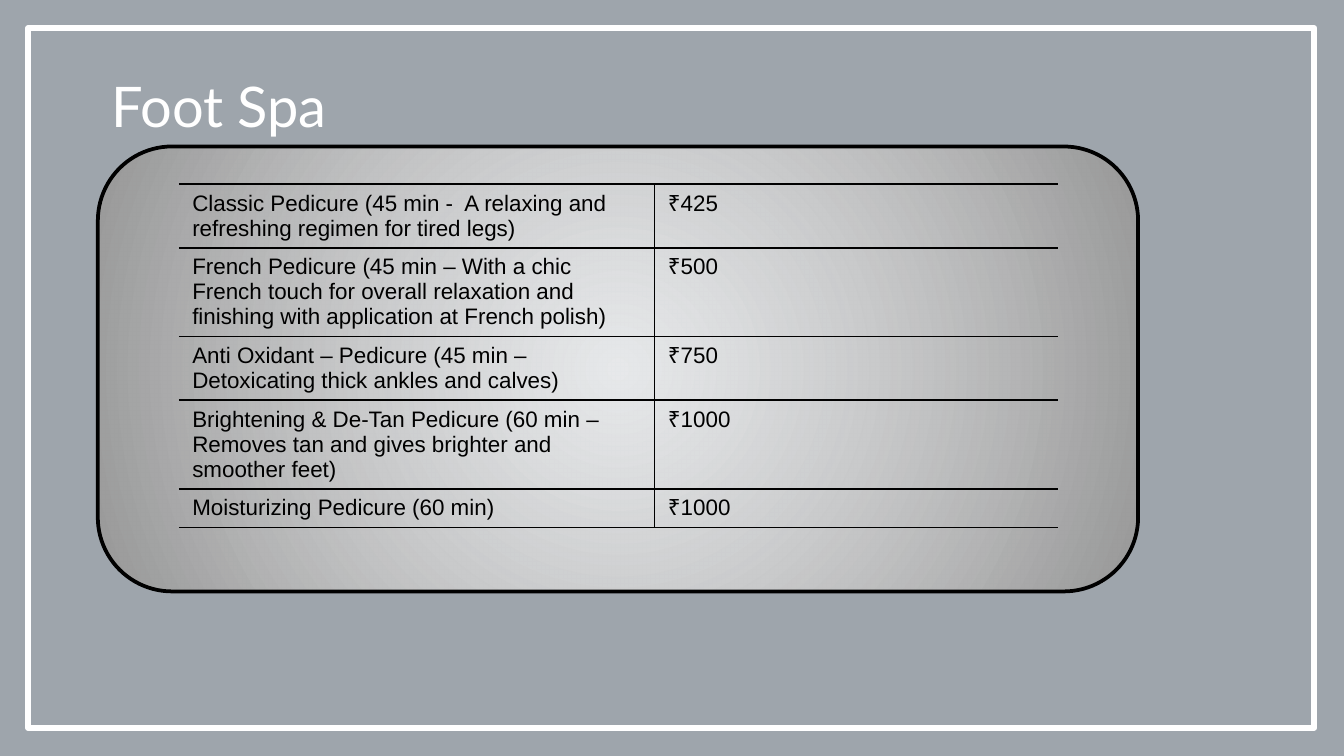
"""Build the foot spa price list slide."""
from lxml import etree
from pptx import Presentation
from pptx import util as u
from pptx.dml.color import RGBColor
from pptx.enum import shapes, text
from pptx.oxml import parse_xml
from pptx.oxml.ns import nsdecls, qn

COLORS = {"navy": "021526", "white": "FFFFFF", "grey": "979797", "black": "000000"}
PRICES = [
    ("Classic Pedicure (45 min -  A relaxing and refreshing regimen for tired legs)", "₹425"),
    ("French Pedicure (45 min – With a chic French touch for overall relaxation "
     "and finishing with application at French polish)", "₹500"),
    ("Anti Oxidant – Pedicure (45 min – Detoxicating thick ankles and calves)", "₹750"),
    ("Brightening & De-Tan Pedicure (60 min – Removes tan and gives brighter "
     "and smoother feet)", "₹1000"),
    ("Moisturizing Pedicure (60 min)", "₹1000"),
]


def rgb(name):
    """Return the named colour."""
    return RGBColor.from_string(COLORS[name])


def cm_box(*lengths):
    """Convert left, top, width and height to centimetres."""
    return [u.Cm(length) for length in lengths]


def add_panel(page, kind, place, line=None, width=0):
    """Add an unfilled shape with an optional outline."""
    panel = page.shapes.add_shape(kind, *cm_box(*place))
    panel.shadow.inherit = False
    panel.fill.background()
    if line:
        panel.line.color.rgb = rgb(line)
        panel.line.width = u.Pt(width)
    else:
        panel.line.fill.background()
    return panel


def fill_tint(panel, color, percent):
    """Fill a panel with a partly transparent colour."""
    panel.fill.solid()
    panel.fill.fore_color.rgb = rgb(color)
    swatch = next(panel.element.spPr.iter(qn("a:srgbClr")))
    etree.SubElement(swatch, qn("a:alpha"), val=str(percent * 1000))


def fill_radial(panel, center, percent, edge):
    """Fill a panel with a gradient running from its centre to its edge."""
    gradient = parse_xml(
        f'<a:gradFill {nsdecls("a")} rotWithShape="1"><a:gsLst>'
        f'<a:gs pos="0"><a:srgbClr val="{COLORS[center]}">'
        f'<a:alpha val="{percent * 1000}"/></a:srgbClr></a:gs>'
        f'<a:gs pos="100000"><a:srgbClr val="{COLORS[edge]}"/></a:gs></a:gsLst>'
        '<a:path path="circle"><a:fillToRect l="50000" t="50000" r="50000" b="50000"/>'
        '</a:path></a:gradFill>')
    properties = panel.element.spPr
    properties.replace(properties.find(qn("a:noFill")), gradient)


def style_text(frame, font, size, color):
    """Format every run of a text frame."""
    for para in frame.paragraphs:
        para.alignment = text.PP_ALIGN.LEFT
        for span in para.runs:
            span.font.name = font
            span.font.size = u.Pt(size)
            span.font.color.rgb = rgb(color)


def set_borders(cell, drawn):
    """Draw the given cell sides in black and hide the others."""
    properties = cell._tc.get_or_add_tcPr()
    for side in "LRTB":
        border = etree.SubElement(properties, qn(f"a:ln{side}"), w=str(u.Pt(1)))
        if side in drawn:
            fill = etree.SubElement(border, qn("a:solidFill"))
            etree.SubElement(fill, qn("a:srgbClr"), val=COLORS["black"])
        else:
            etree.SubElement(border, qn("a:noFill"))


def add_prices(page):
    """Add the table of treatments and prices."""
    place = cm_box(3.38, 3.48, 16.61, 2.55)
    table = page.shapes.add_table(len(PRICES), 2, *place).table
    table.first_row = table.horz_banding = False
    for column, width in zip(table.columns, (8.99, 7.62)):
        column.width = u.Cm(width)
    for row, words in zip(table.rows, PRICES):
        for cell, wording, sides in zip(row.cells, words, ("RTB", "LTB")):
            cell.text_frame.text = wording
            style_text(cell.text_frame, "Arial", 12, "black")
            set_borders(cell, sides)
            cell.fill.background()


def set_title(page, wording):
    """Place the title in front of the panels."""
    title = page.shapes.title
    title.left, title.top, title.width, title.height = cm_box(1.85, 1.22, 12.32, 1.55)
    title.text_frame.text = wording
    title.text_frame.vertical_anchor = text.MSO_ANCHOR.TOP
    title.text_frame.auto_size = text.MSO_AUTO_SIZE.SHAPE_TO_FIT_TEXT
    style_text(title.text_frame, "Lato", 30, "white")
    title.element.getparent().append(title.element)


def main():
    """Build and save the deck."""
    deck = Presentation()
    deck.slide_width, deck.slide_height = u.Cm(25.4), u.Cm(14.29)
    page = deck.slides.add_slide(deck.slide_layouts[5])
    kinds = shapes.MSO_SHAPE
    backdrop = add_panel(page, kinds.RECTANGLE, (0, 0, 25.4, 14.33))
    fill_tint(backdrop, "navy", 38)
    add_panel(page, kinds.RECTANGLE, (0.53, 0.53, 24.31, 13.23), "white", 3)
    card = add_panel(page, kinds.ROUNDED_RECTANGLE, (1.85, 2.77, 19.66, 8.41), "black", 2)
    fill_radial(card, "white", 75, "grey")
    add_prices(page)
    set_title(page, "Foot Spa")
    deck.save("out.pptx")


if __name__ == "__main__":
    main()
